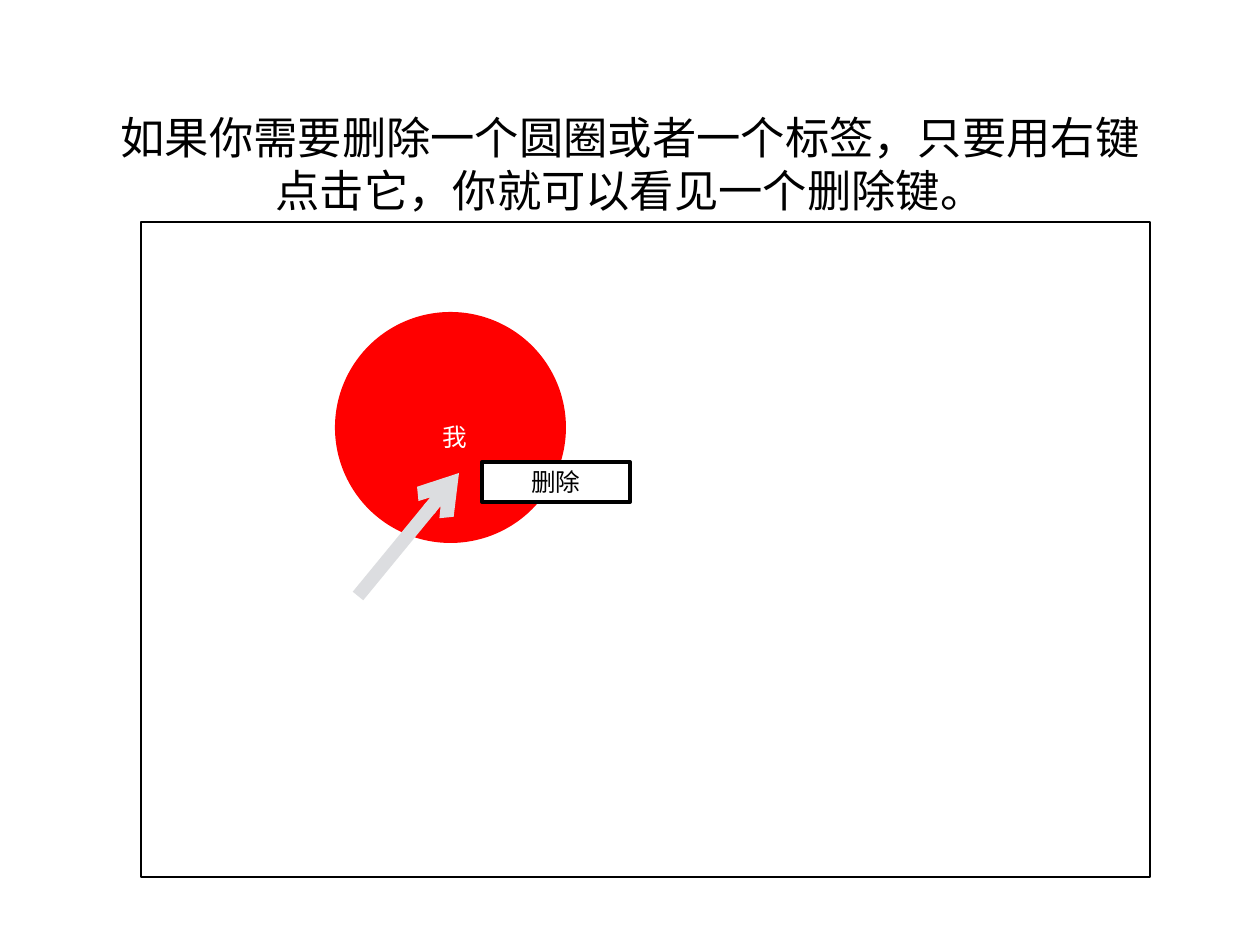
import pptx
import pptx.util
import pptx.dml.color
import pptx.enum.shapes
import pptx.enum.text
import pptx.oxml.ns
import lxml.etree

EMU_PER_PX = 10320
FONT = "Roboto"
BLACK, WHITE, RED, GRAY = "000000", "FFFFFF", "FF0000", "DCDDE0"
SLIDE_SIZE = (1260, 945)
TITLE = ("如果你需要删除一个圆圈或者一个标签，只要用右键点击它，你就可以看见一个删除键。", (95, 105, 1070, 117), 36, BLACK)
CIRCLE_LABEL = ("我", (382, 417, 146, 40), 20, WHITE)
DELETE_LABEL = ("删除", (482, 462, 148, 40), 20, BLACK)
CIRCLE_BOX = (335, 312, 231, 231)
FRAME_BOX = (141, 222, 1009, 655)
POINTER = (358, 596, 459, 473)


def px(*lengths):
    return [pptx.util.Emu(length * EMU_PER_PX) for length in lengths]


def color(value):
    return pptx.dml.color.RGBColor.from_string(value)


def write(shape, text, size, text_color):
    frame = shape.text_frame
    frame.word_wrap = True
    frame.vertical_anchor = pptx.enum.text.MSO_ANCHOR.MIDDLE
    frame.margin_left = frame.margin_right = frame.margin_top = frame.margin_bottom = px(5)[0]
    frame.text = text
    paragraph = frame.paragraphs[0]
    paragraph.alignment = pptx.enum.text.PP_ALIGN.CENTER
    font = paragraph.runs[0].font
    font.name, font.size = FONT, pptx.util.Pt(size)
    font.color.rgb = color(text_color)
    east_asian = lxml.etree.SubElement(font._element, pptx.oxml.ns.qn("a:ea"))
    east_asian.set("typeface", FONT)


def add_text(slide, text, box, size, text_color):
    write(slide.shapes.add_textbox(*px(*box)), text, size, text_color)


def add_shape(slide, kind, box, fill=None, line_width=None):
    shape = slide.shapes.add_shape(kind, *px(*box))
    shape.shadow.inherit = False
    if fill:
        shape.fill.solid()
        shape.fill.fore_color.rgb = color(fill)
    else:
        shape.fill.background()
    if line_width:
        shape.line.color.rgb = color(BLACK)
        shape.line.width = pptx.util.Pt(line_width)
    else:
        shape.line.fill.background()
    return shape


def add_pointer(slide):
    straight = pptx.enum.shapes.MSO_CONNECTOR.STRAIGHT
    pointer = slide.shapes.add_connector(straight, *px(*POINTER))
    pointer.line.color.rgb = color(GRAY)
    pointer.line.width = pptx.util.Pt(11)
    line = pointer.line._get_or_add_ln()
    lxml.etree.SubElement(line, pptx.oxml.ns.qn("a:tailEnd")).set("type", "arrow")
    lxml.etree.SubElement(pointer._element.spPr, pptx.oxml.ns.qn("a:effectLst"))


def main():
    """Build the slide that explains how to delete a circle or a label."""
    presentation = pptx.Presentation()
    presentation.slide_width, presentation.slide_height = px(*SLIDE_SIZE)
    slide = presentation.slides.add_slide(presentation.slide_layouts[6])
    kinds = pptx.enum.shapes.MSO_SHAPE
    add_shape(slide, kinds.OVAL, CIRCLE_BOX, fill=RED)
    add_text(slide, *TITLE)
    add_shape(slide, kinds.RECTANGLE, FRAME_BOX, line_width=2)
    add_text(slide, *CIRCLE_LABEL)
    add_pointer(slide)
    text, box, size, text_color = DELETE_LABEL
    button = add_shape(slide, kinds.RECTANGLE, box, fill=WHITE, line_width=3.25)
    write(button, text, size, text_color)
    presentation.save("out.pptx")


if __name__ == "__main__":
    main()
